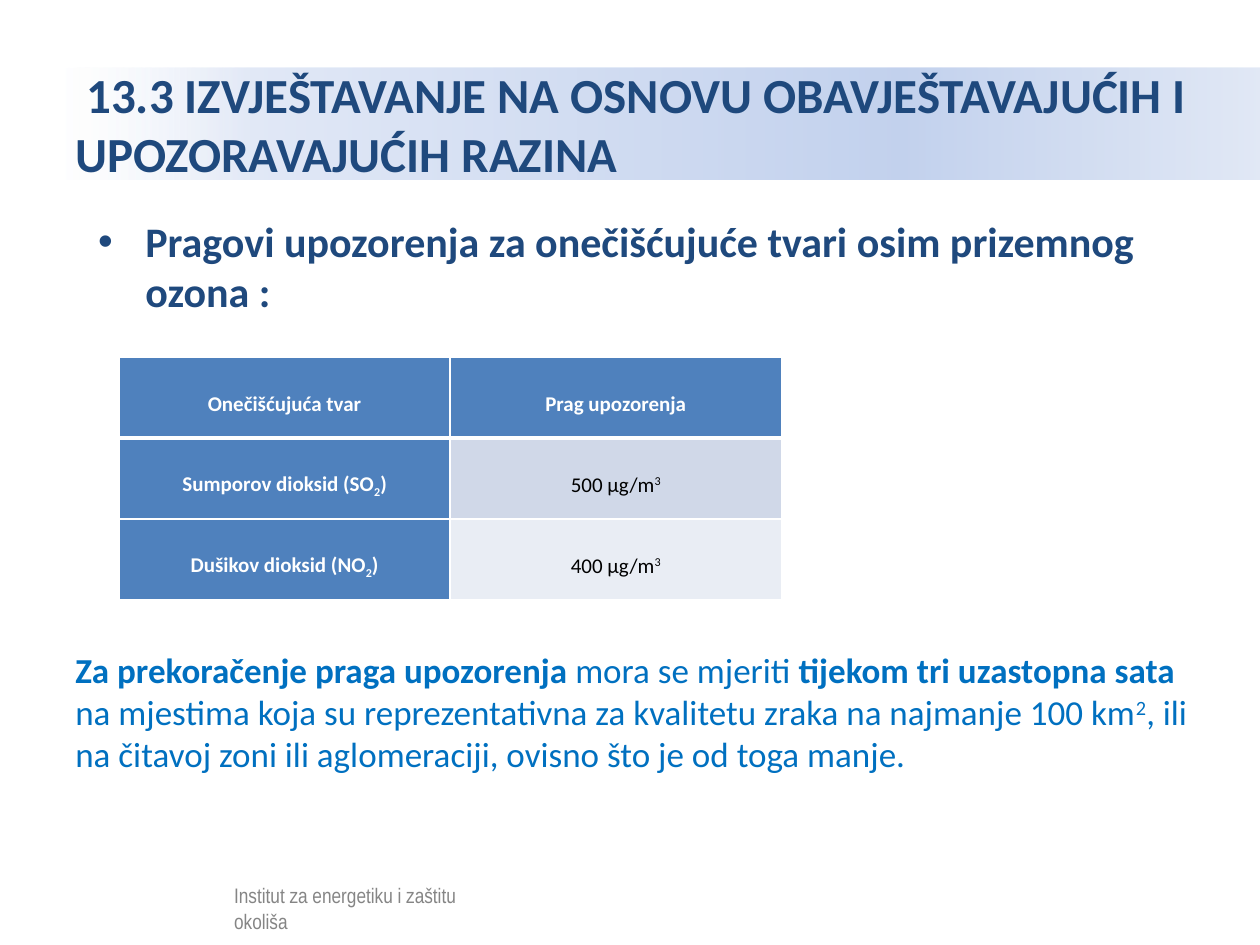
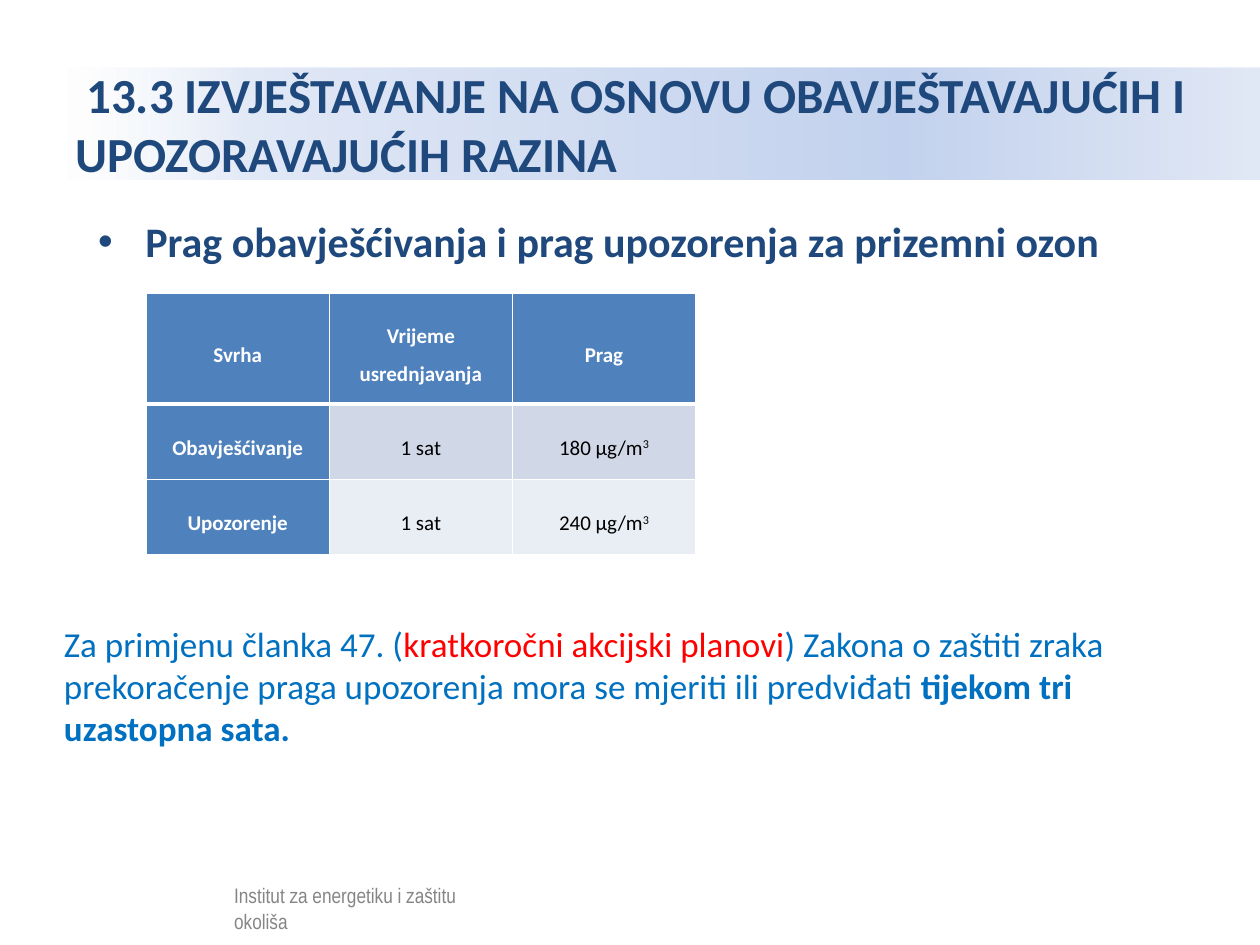
from dataclasses import dataclass
from typing import NamedTuple

from lxml.etree import SubElement
from pptx import Presentation
from pptx.dml.color import RGBColor
from pptx.enum.shapes import MSO_SHAPE
from pptx.enum.text import MSO_ANCHOR, PP_ALIGN
from pptx.oxml import parse_xml
from pptx.oxml.ns import nsdecls, qn
from pptx.util import Pt

# Shared colours and fonts
NAVY, BLUE, RED = "1F497D", "0070C0", "FF0000"
WHITE, BLACK = "FFFFFF", "000000"
HEADER_FILL = "4F81BD"
BAND_FILLS = ("D0D8E8", "E9EDF4")
BODY_FONT, FOOTER_FONT = "Calibri", "Arial Narrow"

# Shared wording
TITLE = " 13.3 IZVJEŠTAVANJE NA OSNOVU OBAVJEŠTAVAJUĆIH I UPOZORAVAJUĆIH RAZINA"
FOOTER = "Institut za energetiku i zaštitu okoliša"

# Title band gradient: position, colour, opacity (percent)
TITLE_STOPS = ((0, WHITE, 52), (16, "E1E8F6", 100), (70, "C2D1ED", 100), (100, "E1E8F5", 100))
VEIL_OPACITY = 52


class Area(NamedTuple):
    """Left, top, width and height in points."""
    left: float
    top: float
    width: float
    height: float

    def lengths(self) -> tuple:
        return tuple(Pt(value) for value in self)


class Span(NamedTuple):
    text: str
    bold: bool | None = None
    baseline: int = 0
    colour: str | None = None


class TextStyle(NamedTuple):
    size: float
    colour: str
    bold: bool = False
    font: str = BODY_FONT


TITLE_STYLE = TextStyle(28, NAVY, True)
BULLET_STYLE = TextStyle(24, NAVY, True)
NOTE_STYLE = TextStyle(20, BLUE)
FOOTER_STYLE = TextStyle(12, BLACK, font=FOOTER_FONT)
HEAD_CELL_STYLE = TextStyle(12, WHITE, True)
BODY_CELL_STYLE = TextStyle(12, BLACK)


@dataclass
class ThresholdTable:
    area: Area
    row_heights: list[float]
    rows: list[list[list[Span]]]


@dataclass
class ThresholdPage:
    heading: str
    heading_height: float
    table: ThresholdTable
    note: list[Span]
    note_area: Area


def colour_of(code: str) -> RGBColor:
    return RGBColor.from_string(code)


def write(para, spans: list[Span], style: TextStyle) -> None:
    para.font.name = style.font
    para.font.size = Pt(style.size)
    para.font.bold = style.bold
    para.font.color.rgb = colour_of(style.colour)
    for span in spans:
        run = para.add_run()
        run.text = span.text
        if span.bold is not None:
            run.font.bold = span.bold
        if span.colour:
            run.font.color.rgb = colour_of(span.colour)
        if span.baseline:
            run._r.get_or_add_rPr().set("baseline", str(span.baseline * 1000))


def add_text(shapes, area: Area, spans: list[Span], style: TextStyle, bullet: bool = False) -> None:
    box = shapes.add_textbox(*area.lengths())
    box.text_frame.word_wrap = True
    para = box.text_frame.paragraphs[0]
    if bullet:
        properties = para._p.get_or_add_pPr()
        properties.set("marL", str(Pt(27)))
        properties.set("indent", str(Pt(-27)))
        SubElement(properties, qn("a:buFont"), typeface="Arial")
        SubElement(properties, qn("a:buChar"), char="•")
    write(para, spans, style)


def add_rectangle(shapes, area: Area):
    rectangle = shapes.add_shape(MSO_SHAPE.RECTANGLE, *area.lengths())
    rectangle.shadow.inherit = False
    rectangle.line.fill.background()
    return rectangle


def add_title(page) -> None:
    band = add_rectangle(page.shapes, Area(36, 38.5, 684, 64))
    stops = "".join(
        f'<a:gs pos="{position * 1000}"><a:srgbClr val="{code}">'
        f'<a:alpha val="{opacity * 1000}"/></a:srgbClr></a:gs>'
        for position, code, opacity in TITLE_STOPS
    )
    gradient = parse_xml(
        f'<a:gradFill {nsdecls("a")} rotWithShape="1"><a:gsLst>{stops}</a:gsLst>'
        '<a:lin ang="0" scaled="1"/></a:gradFill>'
    )
    band._element.spPr.find(qn("a:prstGeom")).addnext(gradient)
    frame = band.text_frame
    frame.word_wrap = True
    frame.vertical_anchor = MSO_ANCHOR.MIDDLE
    frame.paragraphs[0].alignment = PP_ALIGN.LEFT
    write(frame.paragraphs[0], [Span(TITLE)], TITLE_STYLE)


def add_footer(page) -> None:
    # A translucent white veil softens the footer text
    group = page.shapes.add_group_shape()
    add_text(group.shapes, Area(126.7, 501, 150.5, 18), [Span(FOOTER)], FOOTER_STYLE)
    veil = add_rectangle(group.shapes, Area(29.5, 499, 275, 34.5))
    veil.fill.solid()
    veil.fill.fore_color.rgb = colour_of(WHITE)
    code = veil._element.spPr.find(qn("a:solidFill"))[0]
    SubElement(code, qn("a:alpha"), val=str(VEIL_OPACITY * 1000))


def set_borders(cell, top: float, bottom: float) -> None:
    properties = cell._tc.get_or_add_tcPr()
    for side, width in (("L", 1), ("R", 1), ("T", top), ("B", bottom)):
        line = SubElement(properties, qn(f"a:ln{side}"), w=str(Pt(width)))
        fill = SubElement(line, qn("a:solidFill"))
        SubElement(fill, qn("a:srgbClr"), val=WHITE)


def add_threshold_table(page, content: ThresholdTable) -> None:
    columns = len(content.rows[0])
    table = page.shapes.add_table(len(content.rows), columns, *content.area.lengths()).table
    table.horz_banding = False
    for column in table.columns:
        column.width = Pt(content.area.width / columns)
    for row_index, (height, row) in enumerate(zip(content.row_heights, content.rows)):
        table.rows[row_index].height = Pt(height)
        for column_index, spans in enumerate(row):
            cell = table.cell(row_index, column_index)
            is_head = row_index == 0 or column_index == 0
            # The rule under the header row is thicker
            set_borders(cell, 3 if row_index == 1 else 1, 3 if row_index == 0 else 1)
            cell.fill.solid()
            cell.fill.fore_color.rgb = colour_of(
                HEADER_FILL if is_head else BAND_FILLS[(row_index - 1) % 2]
            )
            cell.margin_left = cell.margin_right = Pt(5)
            cell.margin_top = cell.margin_bottom = Pt(0)
            cell.vertical_anchor = MSO_ANCHOR.MIDDLE
            para = cell.text_frame.paragraphs[0]
            para.alignment = PP_ALIGN.CENTER
            para.line_spacing = 1.5
            write(para, spans, HEAD_CELL_STYLE if is_head else BODY_CELL_STYLE)


def concentration(value: int) -> list[Span]:
    return [Span(f"{value} µg/m"), Span("3", baseline=30)]


def dioxide(name: str, formula: str) -> list[Span]:
    return [Span(f"{name} dioksid ({formula}"), Span("2", baseline=-25), Span(")")]


def plain(*labels: str) -> list[list[Span]]:
    return [[Span(label)] for label in labels]


PAGES = [
    ThresholdPage(
        heading="Pragovi upozorenja za onečišćujuće tvari osim prizemnog ozona :",
        heading_height=73.5,
        table=ThresholdTable(
            Area(68, 204, 378.5, 138.9),
            [46.3] * 3,
            [
                plain("Onečišćujuća tvar", "Prag upozorenja"),
                [dioxide("Sumporov", "SO"), concentration(500)],
                [dioxide("Dušikov", "NO"), concentration(400)],
            ],
        ),
        note=[
            Span("Za prekoračenje praga upozorenja ", bold=True),
            Span("mora se mjeriti "),
            Span("tijekom tri uzastopna sata ", bold=True),
            Span("na mjestima koja su reprezentativna za kvalitetu zraka na najmanje 100 km"),
            Span("2", baseline=30),
            Span(", ili na čitavoj zoni ili aglomeraciji, ovisno što je od toga manje."),
        ],
        note_area=Area(36, 367.2, 659, 88.5),
    ),
    ThresholdPage(
        heading="Prag obavješćivanja i prag upozorenja za prizemni ozon",
        heading_height=42.5,
        table=ThresholdTable(
            Area(83.5, 167.8, 314, 149.4),
            [63, 43.2, 43.2],
            [
                plain("Svrha", "Vrijeme usrednjavanja", "Prag"),
                plain("Obavješćivanje", "1 sat") + [concentration(180)],
                plain("Upozorenje", "1 sat") + [concentration(240)],
            ],
        ),
        note=[
            Span("Za primjenu članka 47. ("),
            Span("kratkoročni akcijski planovi", colour=RED),
            Span(") Zakona o zaštiti zraka prekoračenje praga upozorenja mora se mjeriti ili predviđati "),
            Span("tijekom tri uzastopna sata.", bold=True),
        ],
        note_area=Area(29.5, 352, 651, 87),
    ),
]


def main() -> None:
    deck = Presentation()
    deck.slide_width, deck.slide_height = Pt(720), Pt(540)
    for content in PAGES:
        page = deck.slides.add_slide(deck.slide_layouts[6])
        add_title(page)
        heading_area = Area(49, 119.5, 659, content.heading_height)
        add_text(page.shapes, heading_area, [Span(content.heading)], BULLET_STYLE, bullet=True)
        add_footer(page)
        add_threshold_table(page, content.table)
        add_text(page.shapes, content.note_area, content.note, NOTE_STYLE)
    deck.save("out.pptx")


if __name__ == "__main__":
    main()
